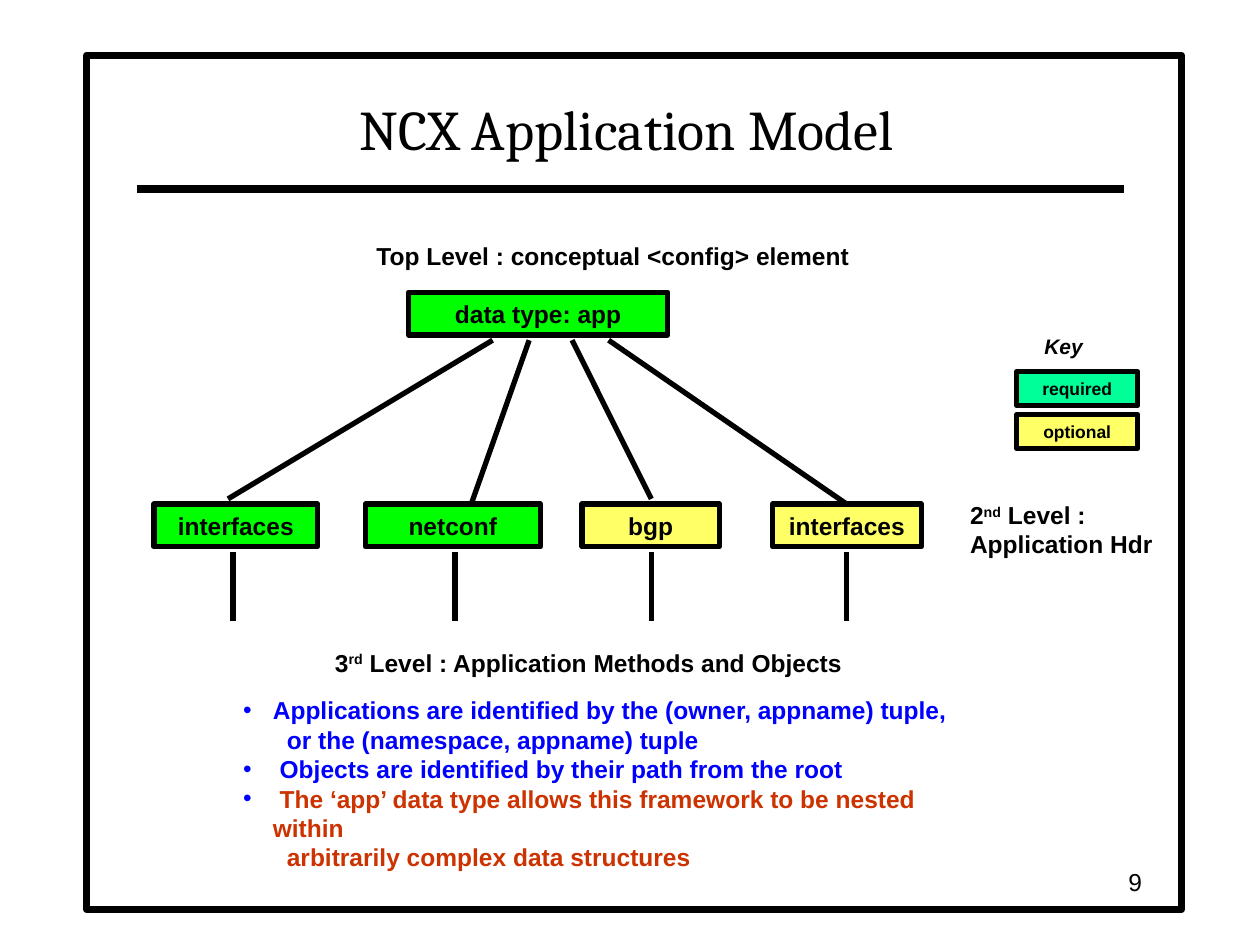
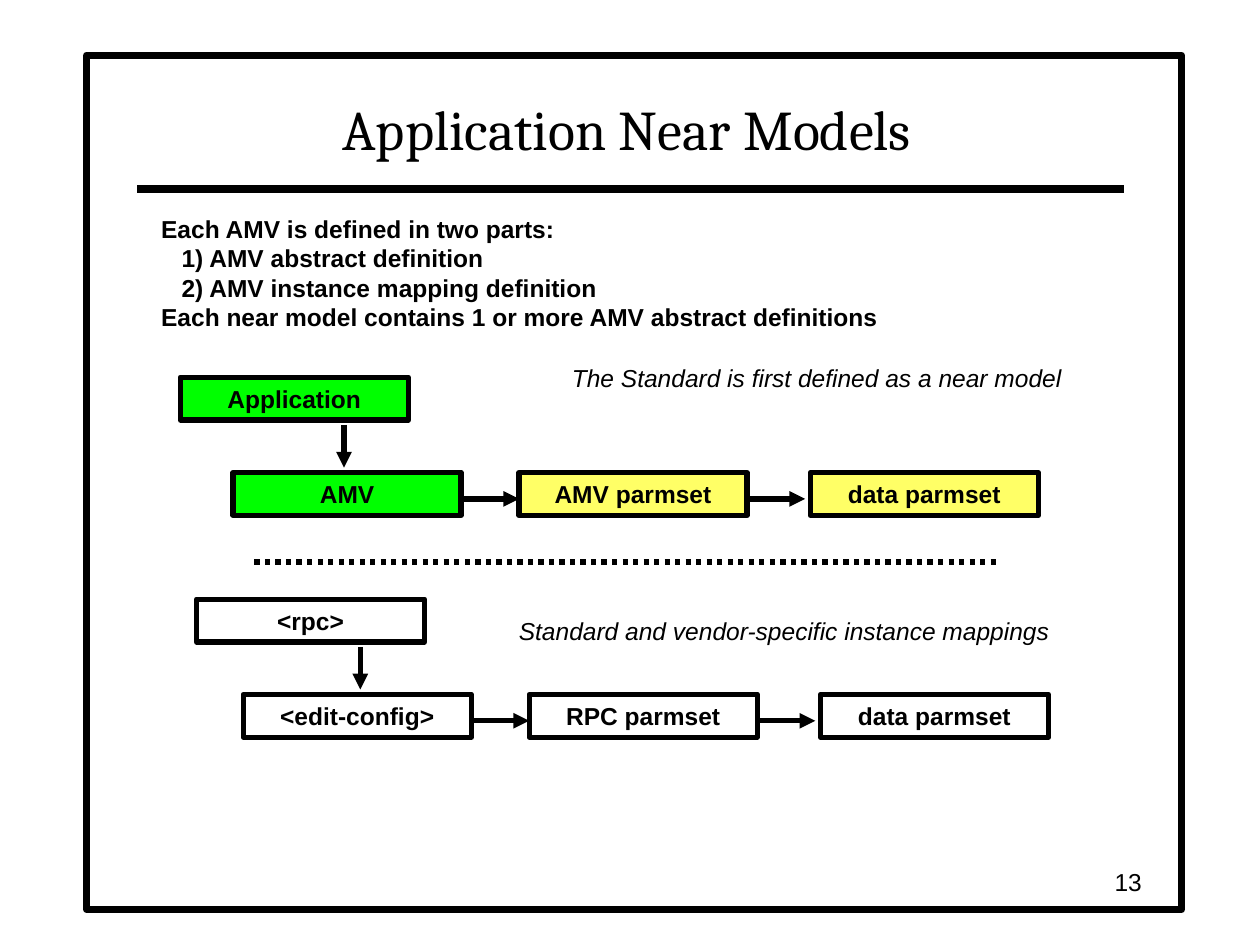
"""Builds two slides on the NCX application model and its near models."""
from pptx import Presentation
from pptx.dml.color import RGBColor
from pptx.enum.dml import MSO_LINE as Dash
from pptx.enum.shapes import MSO_CONNECTOR as Link, MSO_SHAPE as Preset
from pptx.enum.text import MSO_ANCHOR as Anchor, MSO_AUTO_SIZE as AutoSize, PP_ALIGN as Align
from pptx.oxml.ns import qn
from pptx.util import Pt
from lxml.etree import SubElement

BLACK, WHITE, BLUE, RUST = "000000", "FFFFFF", "0000FF", "CC3300"
GREEN, MINT, YELLOW = "00FF00", "00FF99", "FFFF66"
BOX_HEIGHT = 24.5


def rgb(value):
    return RGBColor.from_string(value)


class Deck:
    body_font, title_font, size = "Arial", "Cambria", 14

    def __init__(self):
        self.prs = Presentation()
        self.prs.slide_width, self.prs.slide_height = Pt(720), Pt(540)
        self.slide = None

    def new_slide(self, heading, number):
        self.slide = self.prs.slides.add_slide(self.prs.slide_layouts[5])
        title = self.slide.shapes.title
        self.box(49.5, 31.5, 625.7, 488.2, fill=WHITE, weight=4)
        self.line(78.5, 108, 642.2, 108, weight=4.5)
        title._element.getparent().append(title._element)
        title.left, title.top, title.width, title.height = Pt(77.8), Pt(41.8), Pt(560.9), Pt(54)
        frame = self.frame(title, Anchor.BOTTOM)
        frame.paragraphs[0].alignment = Align.CENTER
        self.run(frame.paragraphs[0], heading, size=32, font=self.title_font, bold=False)
        self.text(509.8, 491.8, 149.8, 23.8, number, align=Align.RIGHT,
                  anchor=Anchor.MIDDLE, bold=False)

    def frame(self, shape, anchor, wrap=True):
        frame = shape.text_frame
        frame.auto_size = AutoSize.NONE
        frame.word_wrap = wrap
        frame.vertical_anchor = anchor
        frame.margin_left = frame.margin_right = Pt(7.2)
        frame.margin_top = frame.margin_bottom = Pt(3.6)
        return frame

    def run(self, paragraph, words, size=None, font=None, color=BLACK,
            bold=True, italic=False, raised=False):
        run = paragraph.add_run()
        run.text = words
        run.font.size = Pt(size or self.size)
        run.font.name = font or self.body_font
        run.font.bold, run.font.italic = bold, italic
        run.font.color.rgb = rgb(color)
        if raised:
            run.font._element.set("baseline", "30000")

    def box(self, left, top, width, height=BOX_HEIGHT, label="", fill=None, weight=3, size=None):
        shape = self.slide.shapes.add_shape(Preset.RECTANGLE, Pt(left), Pt(top),
                                            Pt(width), Pt(height))
        shape.shadow.inherit = False
        if fill:
            shape.fill.solid()
            shape.fill.fore_color.rgb = rgb(fill)
        else:
            shape.fill.background()
        shape.line.color.rgb = rgb(BLACK)
        shape.line.width = Pt(weight)
        if label:
            paragraph = self.frame(shape, Anchor.MIDDLE).paragraphs[0]
            paragraph.alignment = Align.CENTER
            self.run(paragraph, label, size)

    def line(self, x1, y1, x2, y2, weight=3, arrow=False, dash=None):
        link = self.slide.shapes.add_connector(Link.STRAIGHT, Pt(x1), Pt(y1), Pt(x2), Pt(y2))
        link.line.color.rgb = rgb(BLACK)
        link.line.width = Pt(weight)
        if dash:
            link.line.dash_style = dash
        if arrow:
            SubElement(link.line._get_or_add_ln(), qn("a:tailEnd"), type="triangle")
        SubElement(link._element.spPr, qn("a:effectLst"))

    def textbox(self, left, top, width, height, anchor=Anchor.TOP, wrap=True):
        shape = self.slide.shapes.add_textbox(Pt(left), Pt(top), Pt(width), Pt(height))
        return self.frame(shape, anchor, wrap)

    def text(self, left, top, width, height, words, raised="", rest="", wrap=False,
             align=Align.LEFT, anchor=Anchor.TOP, **style):
        paragraph = self.textbox(left, top, width, height, anchor, wrap).paragraphs[0]
        paragraph.alignment = align
        self.run(paragraph, words, **style)
        if raised:
            self.run(paragraph, raised, raised=True, **style)
            self.run(paragraph, rest, **style)

    def lines(self, left, top, width, height, entries):
        frame = self.textbox(left, top, width, height)
        for index, (words, color, margin, bullet) in enumerate(entries):
            paragraph = frame.add_paragraph() if index else frame.paragraphs[0]
            props = paragraph._p.get_or_add_pPr()
            props.set("marL", str(Pt(margin)))
            props.set("indent", str(Pt(-margin if bullet else 0)))
            if bullet:
                tint = SubElement(props, qn("a:buClr"))
                SubElement(tint, qn("a:srgbClr"), val=BLUE)
                SubElement(props, qn("a:buFont"), typeface=self.body_font)
                SubElement(props, qn("a:buChar"), char="•")
            self.run(paragraph, words, color=color)

    def flow(self, head, head_left, steps, left, top, head_fill=None, step_fill=None):
        width = 130.3
        self.box(head_left, top - 54.4, width, label=head, fill=head_fill)
        stem = head_left + 93.6
        self.line(stem, top - 27.2, stem, top - 2.8, arrow=True)
        offsets = (0, 163.4, 329.8)
        for offset, step, fill in zip(offsets, steps, (head_fill, step_fill, step_fill)):
            self.box(left + offset, top, width, label=step, fill=fill)
        for start, end in ((width, 163.4), (293.4, 326.9)):
            self.line(left + start, top + 15.1, left + end, top + 15.1, arrow=True)


def application_model(deck):
    deck.new_slide("NCX Application Model", "9")
    deck.text(208, 134, 285.8, BOX_HEIGHT, "Top Level : conceptual <config> element")
    deck.box(233.5, 167, 148.2, label="data type: app", fill=GREEN)
    applications = (
        ("interfaces", GREEN, 88, 93.6, 281.5, 130.3, 285.1, 133.2),
        ("netconf", GREEN, 208.8, 100, 302.4, 269.3, 288, 260),
        ("bgp", YELLOW, 332.6, 78.5, 326.9, 372.2, 285.1, 372.2),
        ("interfaces", YELLOW, 441.4, 85, 347.8, 483.8, 288, 483.8),
    )
    for name, fill, left, width, root_x, branch_x, branch_y, stem_x in applications:
        deck.line(root_x, 194.4, branch_x, branch_y)
        deck.box(left, 288, width, label=name, fill=fill)
        deck.line(stem_x, 315.4, stem_x, 355)
    deck.text(547.2, 282.2, 121, 41, "2", "nd", " Level : Application Hdr", wrap=True)
    deck.text(184.3, 366.5, 304.6, BOX_HEIGHT, "3", "rd",
              " Level : Application Methods and Objects")
    deck.text(589.7, 187.2, 36, 21.6, "Key", size=12, italic=True)
    for row, (meaning, fill) in enumerate((("required", MINT), ("optional", YELLOW))):
        deck.box(581, 212.4 + row * 24.5, 69.1, 19.4, meaning, fill, size=10)
    deck.lines(131.8, 393.8, 435.6, 108, (
        ("Applications are identified by the (owner, appname) tuple,", BLUE, 17, True),
        ("or the (namespace, appname) tuple", BLUE, 25, False),
        (" Objects are identified by their path from the root", BLUE, 17, True),
        (" The ‘app’ data type allows this framework to be nested within", RUST, 17, True),
        ("arbitrarily complex data structures", RUST, 25, False),
    ))


def near_models(deck):
    deck.new_slide("Application Near Models", "13")
    deck.lines(85, 118.8, 547.2, 74.9, (
        ("Each AMV is defined in two parts:", BLACK, 0, False),
        ("1) AMV abstract definition", BLACK, 11.7, False),
        ("2) AMV instance mapping definition", BLACK, 11.7, False),
        ("Each near model contains 1 or more AMV abstract definitions", BLACK, 0, False),
    ))
    deck.flow("Application", 103, ("AMV", "AMV parmset", "data parmset"),
              133.2, 270, GREEN, YELLOW)
    deck.line(145.4, 321.1, 571.7, 321.1, dash=Dash.ROUND_DOT)
    deck.flow("<rpc>", 112.3, ("<edit-config>", "RPC parmset", "data parmset"), 139, 396.8)
    deck.text(319.7, 203.8, 294.5, BOX_HEIGHT, "The Standard is first defined as a near model",
              bold=False, italic=True)
    deck.text(289.4, 348.5, 317.5, BOX_HEIGHT, "Standard and vendor-specific instance mappings",
              bold=False, italic=True)


def main():
    deck = Deck()
    application_model(deck)
    near_models(deck)
    deck.prs.save("out.pptx")


if __name__ == "__main__":
    main()
